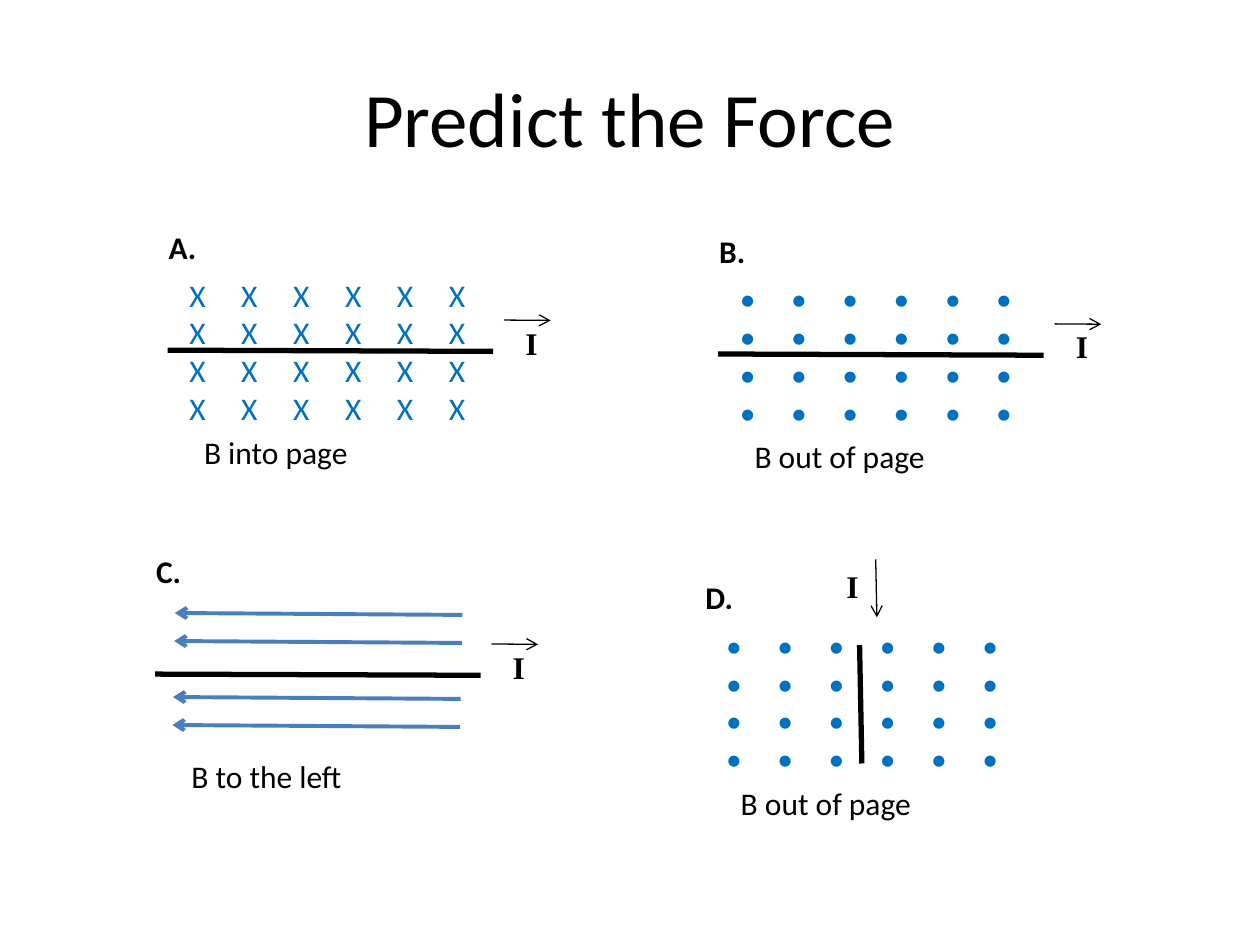
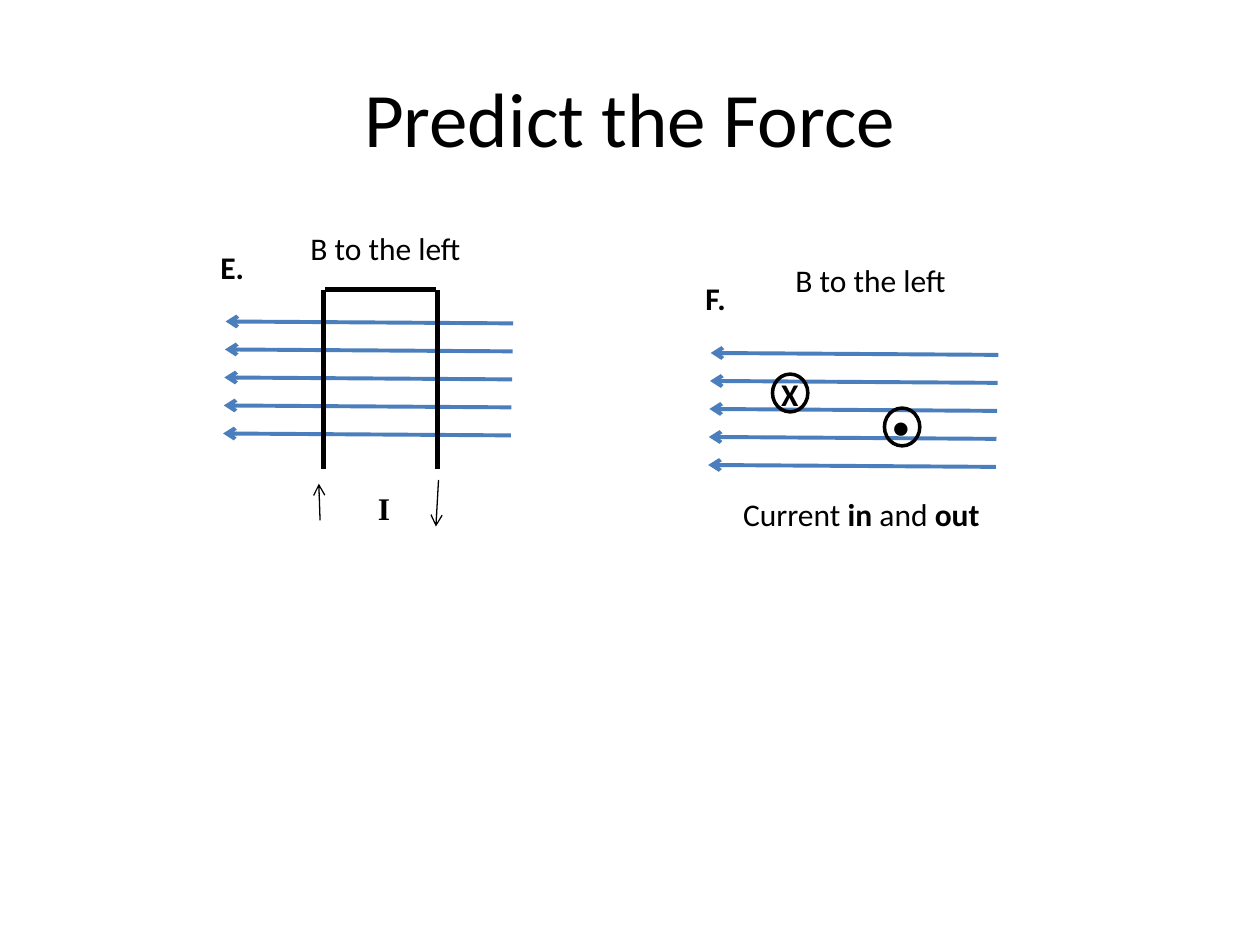
from pptx import Presentation
from pptx.dml.color import RGBColor
from pptx.enum.shapes import MSO_CONNECTOR as Connector, MSO_SHAPE as Shape
from pptx.enum.text import MSO_ANCHOR as Anchor, PP_ALIGN as Align
from pptx.oxml.ns import qn
from pptx.util import Pt
from lxml.etree import SubElement

BLACK = RGBColor(0x00, 0x00, 0x00)
DOT_BLUE = RGBColor(0x00, 0x70, 0xC0)
FIELD_BLUE = RGBColor(0x4B, 0x7E, 0xBC)
BODY_FONT, CURRENT_FONT = "Calibri", "Times New Roman"
TITLE = "Predict the Force"

# Content: every position inside a panel is an offset from its origin.
# Lines are (x1, y1, x2, y2); a field is (x, y, rows that carry an arrow).
FLAT_WIRE = [(6.5, 73.4, 192.5, 74.1)]
FLAT_CURRENT = {"mark": (203.8, 54.7), "arrows": [(198.7, 56.2, 225.4, 56.4)]}
BELOW, ABOVE = (20.2, 117.4), (51.5, -10.8)
ALL_ROWS = range(5)

SLIDES = [
    [
        {"label": "A.", "origin": (89.3, 126.7), "caption": ("B into page", BELOW, 98),
         "grid": ("X", 29.65), "wires": FLAT_WIRE, "current": FLAT_CURRENT},
        {"label": "B.", "origin": (403.9, 128.9), "caption": ("B out of page", BELOW, 113),
         "grid": ("•", 29.3), "wires": FLAT_WIRE, "current": FLAT_CURRENT},
        {"label": "C.", "origin": (82.1, 311.8), "caption": ("B to the left", BELOW, 102),
         "field": (182.2, 39.6, (0, 1, 3, 4)), "wires": FLAT_WIRE, "current": FLAT_CURRENT},
        {"label": "D.", "origin": (396, 326.9), "caption": ("B out of page", BELOW, 113),
         "grid": ("•", 29.3), "wires": [(95.2, 41.8, 96.5, 109.4)],
         "current": {"mark": (80.6, -6.5), "arrows": [(104.4, -7.2, 105.1, 25.9)]}},
    ],
    [
        {"label": "E.", "origin": (118.8, 138.2), "caption": ("B to the left", ABOVE, 102),
         "field": (174.5, 46.6, ALL_ROWS),
         "wires": [(66.2, 27.4, 66.2, 129.6), (67, 27.4, 130.3, 27.4), (131, 27.4, 131, 129.6)],
         "current": {"mark": (90, 137.5),
                     "arrows": [(64.1, 159.1, 63.4, 138.2), (131.8, 136.1, 130.3, 162.7)]}},
        {"label": "F.", "origin": (396, 156.2), "caption": ("B to the left", ABOVE, 102),
         "field": (174.5, 46.6, ALL_ROWS),
         "circles": [("X", (43.2, 54.7), (45.4, 57.6)), ("•", (107.3, 72.7), (109.4, 77))],
         "note": ([("Current ", False), ("in", True), (" and ", False), ("out", True)],
                  (21.6, 123.1), 152)},
    ],
]

GRID_COLUMNS, GRID_ROWS = 6, 4
GRID_OFFSET = (11.8, 27.2)
FIELD_PITCH, FIELD_DRIFT = 16, -0.35
FIELD_RUN, FIELD_RISE = -164.4, -1.1
LINE_HEIGHT = 28.8


def add_text(slide, left, top, width, text, height=LINE_HEIGHT, font=BODY_FONT,
             color=BLACK, bold=False, tabs=()):
    """Text is one string, with a line per paragraph, or a list of (text, bold)."""
    box = slide.shapes.add_textbox(Pt(left), Pt(top), Pt(width), Pt(height))
    frame = box.text_frame
    frame.word_wrap = True
    lines = [[(line, bold)] for line in text.split("\n")] if isinstance(text, str) else [text]
    for index, spans in enumerate(lines):
        para = frame.add_paragraph() if index else frame.paragraphs[0]
        if tabs:
            stops = SubElement(para._p.get_or_add_pPr(), qn("a:tabLst"))
            for position in tabs:
                SubElement(stops, qn("a:tab"), pos=str(Pt(position)), algn="l")
        for words, heavy in spans:
            span = para.add_run()
            span.text = words
            span.font.name, span.font.size = font, Pt(18)
            span.font.bold, span.font.color.rgb = heavy, color


def add_line(slide, x1, y1, x2, y2, color=BLACK, weight=3, arrow=False):
    line = slide.shapes.add_connector(Connector.STRAIGHT, Pt(x1), Pt(y1), Pt(x2), Pt(y2))
    line.line.color.rgb, line.line.width = color, Pt(weight)
    if arrow:
        SubElement(line.line._get_or_add_ln(), qn("a:tailEnd"), type="arrow")
    SubElement(line._element.spPr, qn("a:effectLst"))


def add_panel(slide, panel):
    left, top = panel["origin"]

    def shift(*offsets):
        return [value + (top if i % 2 else left) for i, value in enumerate(offsets)]

    # Magnetic field, as rows of symbols or as arrows
    if "grid" in panel:
        symbol, pitch = panel["grid"]
        rows = "\n".join(["\t".join([symbol] * GRID_COLUMNS)] * GRID_ROWS)
        add_text(slide, *shift(*GRID_OFFSET), 178, rows, height=94.3, color=DOT_BLUE,
                 tabs=[pitch * column for column in range(1, GRID_COLUMNS)])
    if "field" in panel:
        x, y, rows = panel["field"]
        for row in rows:
            x1, y1 = shift(x + FIELD_DRIFT * row, y + FIELD_PITCH * row)
            add_line(slide, x1, y1, x1 + FIELD_RUN, y1 + FIELD_RISE,
                     color=FIELD_BLUE, weight=2.25, arrow=True)

    # Wires and the current in them
    for wire in panel.get("wires", []):
        add_line(slide, *shift(*wire))
    if "current" in panel:
        add_text(slide, *shift(*panel["current"]["mark"]), 22, "I", font=CURRENT_FONT, bold=True)
        for arrow in panel["current"]["arrows"]:
            add_line(slide, *shift(*arrow), weight=0.75, arrow=True)
    for symbol, text_offset, ring_offset in panel.get("circles", []):
        add_text(slide, *shift(*text_offset), 26, symbol, bold=True)
        x, y = shift(*ring_offset)
        ring = slide.shapes.add_shape(Shape.OVAL, Pt(x), Pt(y), Pt(20.2), Pt(21.6))
        ring.shadow.inherit = False
        ring.fill.background()
        ring.line.color.rgb, ring.line.width = BLACK, Pt(2)

    # Label and captions
    add_text(slide, left, top, 32, panel["label"], bold=True)
    for key in ("caption", "note"):
        if key in panel:
            text, offset, width = panel[key]
            add_text(slide, *shift(*offset), width, text)


def add_title(slide):
    title = slide.shapes.title
    title.left, title.top, title.width, title.height = Pt(36), Pt(21.6), Pt(648), Pt(90)
    frame = title.text_frame
    frame.text = TITLE
    frame.vertical_anchor = Anchor.MIDDLE
    para = frame.paragraphs[0]
    para.alignment = Align.CENTER
    font = para.runs[0].font
    font.name, font.size, font.color.rgb = BODY_FONT, Pt(44), BLACK


def main():
    deck = Presentation()
    deck.slide_width, deck.slide_height = Pt(720), Pt(540)
    for panels in SLIDES:
        slide = deck.slides.add_slide(deck.slide_layouts[5])
        add_title(slide)
        for panel in panels:
            add_panel(slide, panel)
    deck.save("out.pptx")


if __name__ == "__main__":
    main()
